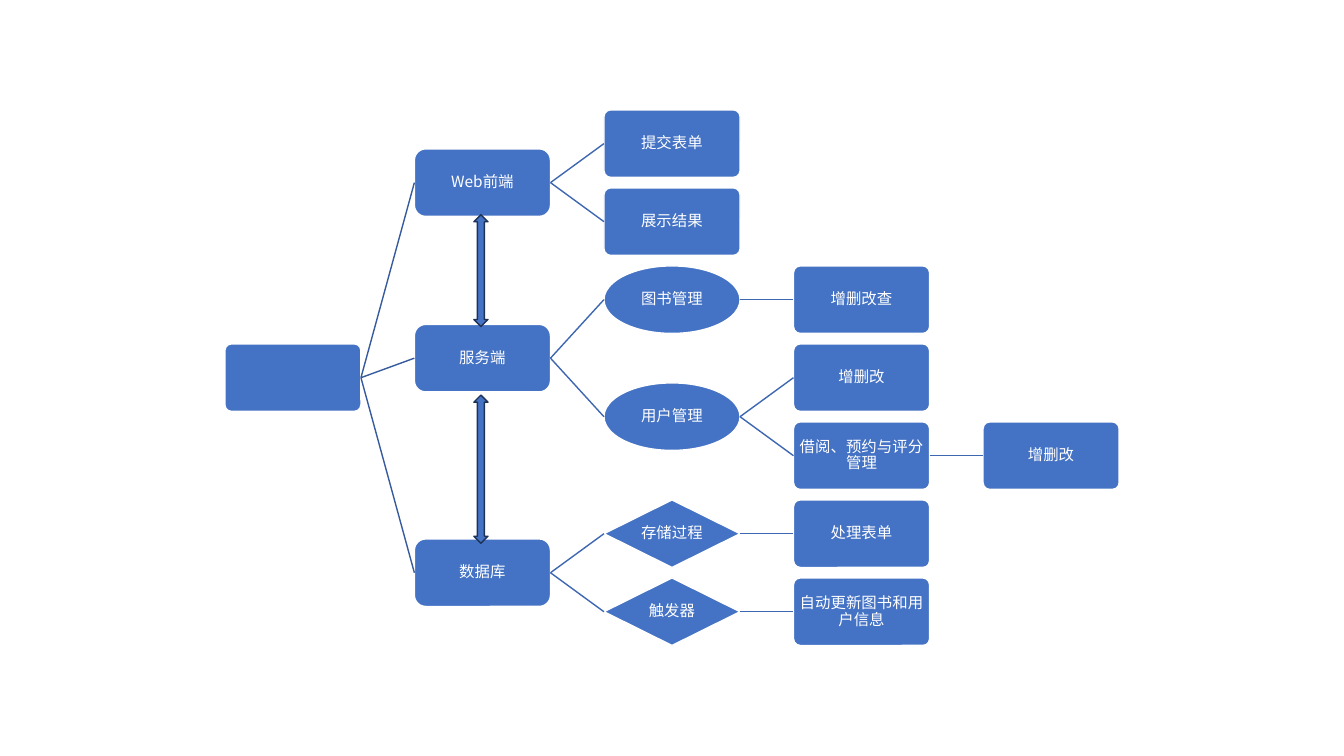
from dataclasses import dataclass

from lxml.etree import SubElement
from pptx import Presentation
from pptx.dml.color import RGBColor
from pptx.enum.shapes import MSO_CONNECTOR, MSO_SHAPE as SHAPE
from pptx.enum.text import MSO_ANCHOR, PP_ALIGN
from pptx.oxml.ns import qn
from pptx.util import Inches, Pt

BLUE = RGBColor(0x44, 0x72, 0xC4)
WHITE = RGBColor(0xFF, 0xFF, 0xFF)
ROOT_LINK = RGBColor(0x36, 0x5B, 0x9D)
BRANCH_LINK = RGBColor(0x3E, 0x67, 0xB2)
ARROW_EDGE = RGBColor(0x1E, 0x32, 0x56)
FONT = "Noto Sans CJK SC"
NODE_W, NODE_H = 1.35, 0.67
COLUMN_STEP, ROW_STEP = 1.88, 0.774
LEFT, RIGHT = 1, 3


@dataclass
class Node:
    """One box of the system tree with its children."""
    label: str
    children: tuple = ()
    kind: int = SHAPE.ROUNDED_RECTANGLE
    rounding: float = 0.1


SYSTEM = Node("", (
    Node("Web前端", (Node("提交表单"), Node("展示结果")), rounding=0.167),
    Node("服务端", (
        Node("图书管理", (Node("增删改查"),), SHAPE.OVAL),
        Node("用户管理", (
            Node("增删改"),
            Node("借阅、预约与评分管理", (Node("增删改"),)),
        ), SHAPE.OVAL),
    ), rounding=0.167),
    Node("数据库", (
        Node("存储过程", (Node("处理表单"),), SHAPE.DIAMOND),
        Node("触发器", (Node("自动更新图书和用户信息"),), SHAPE.DIAMOND),
    ), rounding=0.167),
))


def paint(shape, edge):
    """Give a shape the blue fill and a thin edge."""
    shape.shadow.inherit = False
    shape.fill.solid()
    shape.fill.fore_color.rgb = BLUE
    shape.line.color.rgb = edge
    shape.line.width = Pt(1)


def write_label(box, label):
    """Write a centred white label inside a box."""
    frame = box.text_frame
    frame.word_wrap = True
    frame.vertical_anchor = MSO_ANCHOR.MIDDLE
    frame.margin_left = frame.margin_right = Inches(0.01)
    frame.margin_top = frame.margin_bottom = Inches(0.01)
    line = frame.paragraphs[0]
    line.text = label
    line.alignment = PP_ALIGN.CENTER
    line.line_spacing = 0.9
    line.font.size = Pt(11)
    line.font.name = FONT
    line.font.color.rgb = WHITE
    properties = line.font._element if hasattr(line.font, "_element") else line.font._rPr
    SubElement(properties, qn("a:ea")).set("typeface", FONT)


def add_node(slide, node, left, top):
    """Draw one node with its top left corner at the given place."""
    box = slide.shapes.add_shape(node.kind, Inches(left), Inches(top),
                                 Inches(NODE_W), Inches(NODE_H))
    if node.kind == SHAPE.ROUNDED_RECTANGLE:
        box.adjustments[0] = node.rounding
    paint(box, WHITE)
    if node.label:
        write_label(box, node.label)
    return box


def add_link(slide, parent, child, color):
    """Join the right side of a parent to the left side of a child."""
    link = slide.shapes.add_connector(
        MSO_CONNECTOR.STRAIGHT,
        parent.left + parent.width, parent.top + parent.height // 2,
        child.left, child.top + child.height // 2)
    if parent.auto_shape_type != SHAPE.OVAL:
        link.begin_connect(parent, RIGHT)
    if child.auto_shape_type != SHAPE.OVAL:
        link.end_connect(child, LEFT)
    link.line.color.rgb = color
    link.line.width = Pt(1)
    SubElement(link._element.spPr, qn("a:effectLst"))


def leaf_count(node):
    """Count the rows that a node's subtree takes."""
    return sum(map(leaf_count, node.children)) or 1


def middle_row(node, first_row):
    """Find the row halfway between a node's first and last child."""
    if not node.children:
        return first_row
    first, last = node.children[0], node.children[-1]
    last_row = first_row + leaf_count(node) - leaf_count(last)
    return (middle_row(first, first_row) + middle_row(last, last_row)) / 2


def add_tree(slide, node, left, top, depth=0):
    """Draw a subtree whose first row starts at the given place."""
    box = add_node(slide, node, left, top + middle_row(node, 0) * ROW_STEP)
    for child in node.children:
        child_box = add_tree(slide, child, left + COLUMN_STEP, top, depth + 1)
        add_link(slide, box, child_box, BRANCH_LINK if depth else ROOT_LINK)
        top += leaf_count(child) * ROW_STEP
    return box


def add_exchange(slide, left, top, height):
    """Draw a two-way arrow between neighbouring tiers."""
    arrow = slide.shapes.add_shape(SHAPE.UP_DOWN_ARROW, Inches(left), Inches(top),
                                   Inches(0.14), Inches(height))
    paint(arrow, ARROW_EDGE)


def main():
    """Build the system structure slide."""
    deck = Presentation()
    deck.slide_width, deck.slide_height = Inches(13.33), Inches(7.5)
    slide = deck.slides.add_slide(deck.slide_layouts[6])
    add_tree(slide, SYSTEM, 2.23, 1.09)
    for top, height in ((2.13, 1.11), (3.92, 1.47)):
        add_exchange(slide, 4.7, top, height)
    deck.save("out.pptx")


if __name__ == "__main__":
    main()
